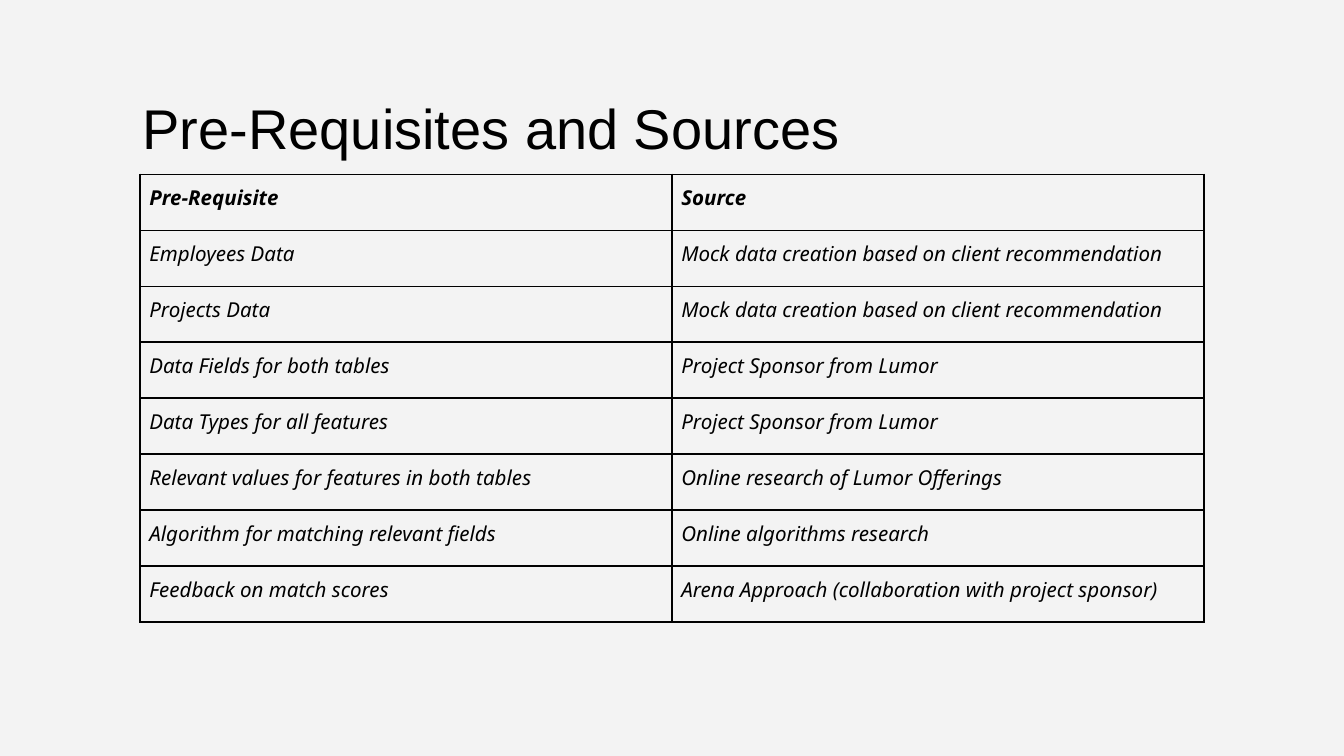
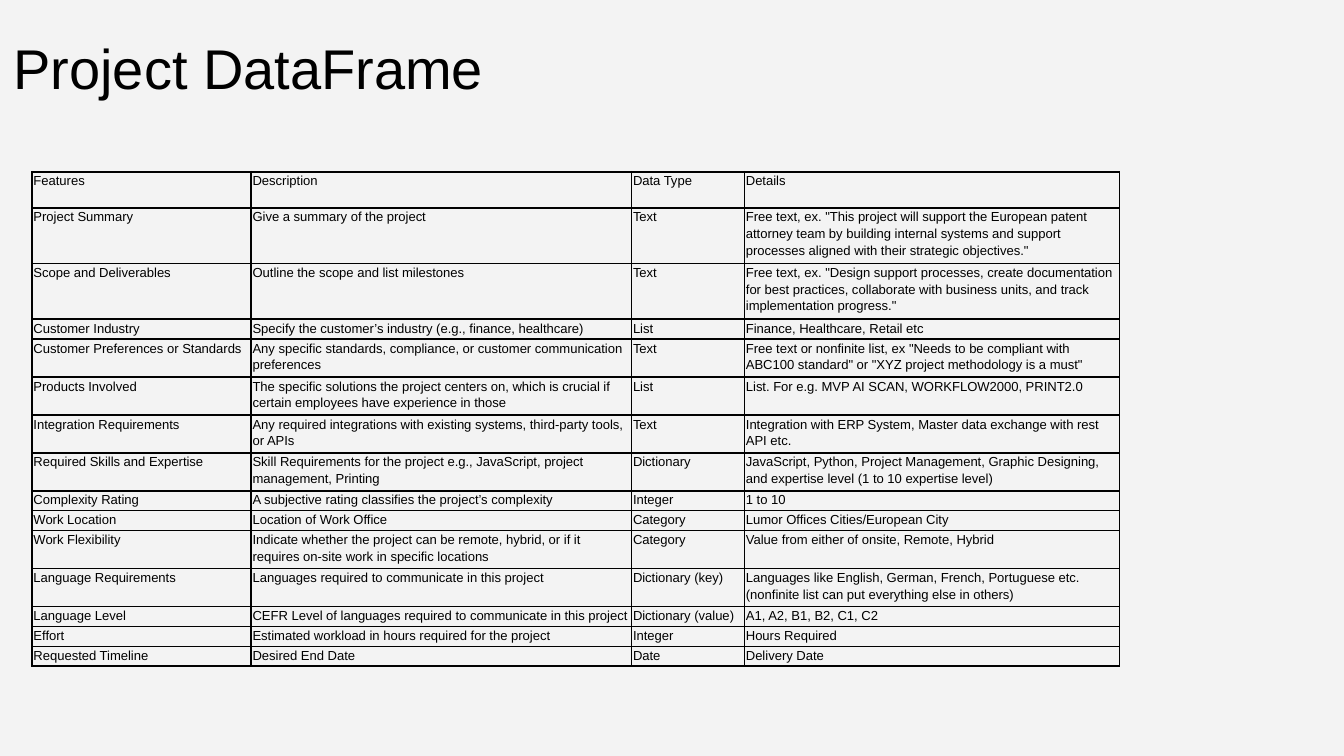
"""Build two slides listing project data sources and the project data frame."""
from dataclasses import dataclass

from lxml import etree
from pptx import Presentation
from pptx.dml import color
from pptx.enum import text
from pptx.oxml import ns
from pptx.util import Pt

SOURCES = [
    ("Pre-Requisite", "Source"),
    ("Employees Data", "Mock data creation based on client recommendation"),
    ("Projects Data", "Mock data creation based on client recommendation"),
    ("Data Fields for both tables", "Project Sponsor from Lumor"),
    ("Data Types for all features", "Project Sponsor from Lumor"),
    ("Relevant values for features in both tables", "Online research of Lumor Offerings"),
    ("Algorithm for matching relevant fields", "Online algorithms research"),
    ("Feedback on match scores", "Arena Approach (collaboration with project sponsor)"),
]

FEATURES = [
    ("Features", "Description", "Data Type", "Details"),
    ("Project Summary", "Give a summary of the project", "Text",
     'Free text, ex. "This project will support the European patent attorney team by building '
     'internal systems and support processes aligned with their strategic objectives."'),
    ("Scope and Deliverables", "Outline the scope and list milestones", "Text",
     'Free text, ex. "Design support processes, create documentation for best practices, '
     'collaborate with business units, and track implementation progress."'),
    ("Customer Industry", "Specify the customer’s industry (e.g., finance, healthcare)", "List",
     "Finance, Healthcare, Retail etc"),
    ("Customer Preferences or Standards",
     "Any specific standards, compliance, or customer communication preferences", "Text",
     'Free text or nonfinite list, ex "Needs to be compliant with ABC100 standard" '
     'or "XYZ project methodology is a must"'),
    ("Products Involved",
     "The specific solutions the project centers on, which is crucial if certain employees "
     "have experience in those", "List",
     "List. For e.g. MVP AI SCAN, WORKFLOW2000, PRINT2.0"),
    ("Integration Requirements",
     "Any required integrations with existing systems, third-party tools, or APIs", "Text",
     "Integration with ERP System, Master data exchange with rest API etc."),
    ("Required Skills and Expertise",
     "Skill Requirements for the project e.g., JavaScript, project management, Printing",
     "Dictionary",
     "JavaScript, Python, Project Management, Graphic Designing, and expertise level "
     "(1 to 10 expertise level)"),
    ("Complexity Rating", "A subjective rating classifies the project’s complexity", "Integer",
     "1 to 10"),
    ("Work Location", "Location of Work Office", "Category", "Lumor Offices Cities/European City"),
    ("Work Flexibility",
     "Indicate whether the project can be remote, hybrid, or if it requires on-site work "
     "in specific locations", "Category", "Value from either of onsite, Remote, Hybrid"),
    ("Language Requirements", "Languages required to communicate in this project",
     "Dictionary (key)",
     "Languages like English, German, French, Portuguese etc. "
     "(nonfinite list can put everything else in others)"),
    ("Language Level", "CEFR Level of languages required to communicate in this project",
     "Dictionary (value)", "A1, A2, B1, B2, C1, C2"),
    ("Effort", "Estimated workload in hours required for the project", "Integer", "Hours Required"),
    ("Requested Timeline", "Desired End Date", "Date", "Delivery Date"),
]
FEATURE_LINES = [3, 3, 1, 2, 2, 2, 2, 1, 1, 2, 2, 1, 1, 1]
HEADER_HEIGHT = 19.3
LINE_HEIGHT = 9.6
ROW_EXTRA = 1.1


@dataclass(frozen=True)
class Theme:
    """Colours, fonts and sizes used on both slides."""
    ink: color.RGBColor = color.RGBColor(0, 0, 0)
    paper: color.RGBColor = color.RGBColor(0xF3, 0xF3, 0xF3)
    title_font: str = "Arial"
    title_size: float = 30
    title_inset: float = 7.2
    border: float = 1


@dataclass(frozen=True)
class TableStyle:
    """Text settings of one table."""
    font: str
    size: float
    insets: tuple
    spacing: float = 1.0
    italic: bool = False
    bold_header: bool = False


THEME = Theme()
SOURCE_STYLE = TableStyle("Noto Sans", 11, (5, 5), italic=True, bold_header=True)
FEATURE_STYLE = TableStyle("Arial", 7, (0.75, 0), spacing=1.15)


def set_insets(target, across, down):
    """Set equal side margins and equal top and bottom margins."""
    target.margin_left = target.margin_right = Pt(across)
    target.margin_top = target.margin_bottom = Pt(down)


def write(para, words, font, size, bold=False, italic=False):
    """Add one formatted run."""
    span = para.add_run()
    span.text = words
    span.font.name, span.font.size = font, Pt(size)
    span.font.bold, span.font.italic = bold, italic
    span.font.color.rgb = THEME.ink


def add_page(deck, title, bounds, anchor, align, spacing):
    """Add a slide with its title placed and formatted."""
    page = deck.slides.add_slide(deck.slide_layouts[5])
    box = page.shapes.title
    box.left, box.top, box.width, box.height = map(Pt, bounds)
    frame = box.text_frame
    frame.word_wrap = True
    frame.auto_size = text.MSO_AUTO_SIZE.NONE
    frame.vertical_anchor = anchor
    set_insets(frame, THEME.title_inset, THEME.title_inset)
    para = frame.paragraphs[0]
    para.alignment, para.line_spacing = align, spacing
    write(para, title, THEME.title_font, THEME.title_size)
    return page


def add_borders(cell):
    """Draw a solid line on every side of a cell."""
    properties = cell._tc.get_or_add_tcPr()
    for index, side in enumerate(("lnL", "lnR", "lnT", "lnB")):
        line = etree.Element(ns.qn(f"a:{side}"), w=str(Pt(THEME.border)))
        fill = etree.SubElement(line, ns.qn("a:solidFill"))
        etree.SubElement(fill, ns.qn("a:srgbClr"), val=str(THEME.ink))
        properties.insert(index, line)


def add_table(page, rows, left, top, widths, heights, style):
    """Add a bordered table with unfilled cells."""
    frame = page.shapes.add_table(len(rows), len(widths), Pt(left), Pt(top),
                                  Pt(sum(widths)), Pt(sum(heights)))
    table = frame.table
    table.first_row = table.horz_banding = False
    for column, width in zip(table.columns, widths):
        column.width = Pt(width)
    for row_index, (row, height) in enumerate(zip(rows, heights)):
        table.rows[row_index].height = Pt(height)
        for column_index, words in enumerate(row):
            cell = table.cell(row_index, column_index)
            cell.fill.background()
            set_insets(cell, *style.insets)
            add_borders(cell)
            para = cell.text_frame.paragraphs[0]
            para.line_spacing = style.spacing
            write(para, words, style.font, style.size,
                  style.bold_header and row_index == 0, style.italic)


def main():
    """Build and save the deck."""
    deck = Presentation()
    deck.slide_width, deck.slide_height = Pt(720), Pt(405)
    background = deck.slide_master.background.fill
    background.solid()
    background.fore_color.rgb = THEME.paper

    page = add_page(deck, "Pre-Requisites and Sources", (29.5, 48.2, 467.3, 45.4),
                    text.MSO_ANCHOR.BOTTOM, text.PP_ALIGN.CENTER, 0.9)
    add_table(page, SOURCES, 75, 93.4, [285] * 2, [30] * len(SOURCES), SOURCE_STYLE)

    page = add_page(deck, "Project DataFrame", (0, 10.8, 607, 45.4),
                    text.MSO_ANCHOR.TOP, text.PP_ALIGN.LEFT, 1.0)
    heights = [HEADER_HEIGHT] + [LINE_HEIGHT * lines + ROW_EXTRA for lines in FEATURE_LINES]
    add_table(page, FEATURES, 17.2, 92, [117.4, 203.8, 60.5, 200.9], heights, FEATURE_STYLE)

    deck.save("out.pptx")


if __name__ == "__main__":
    main()
